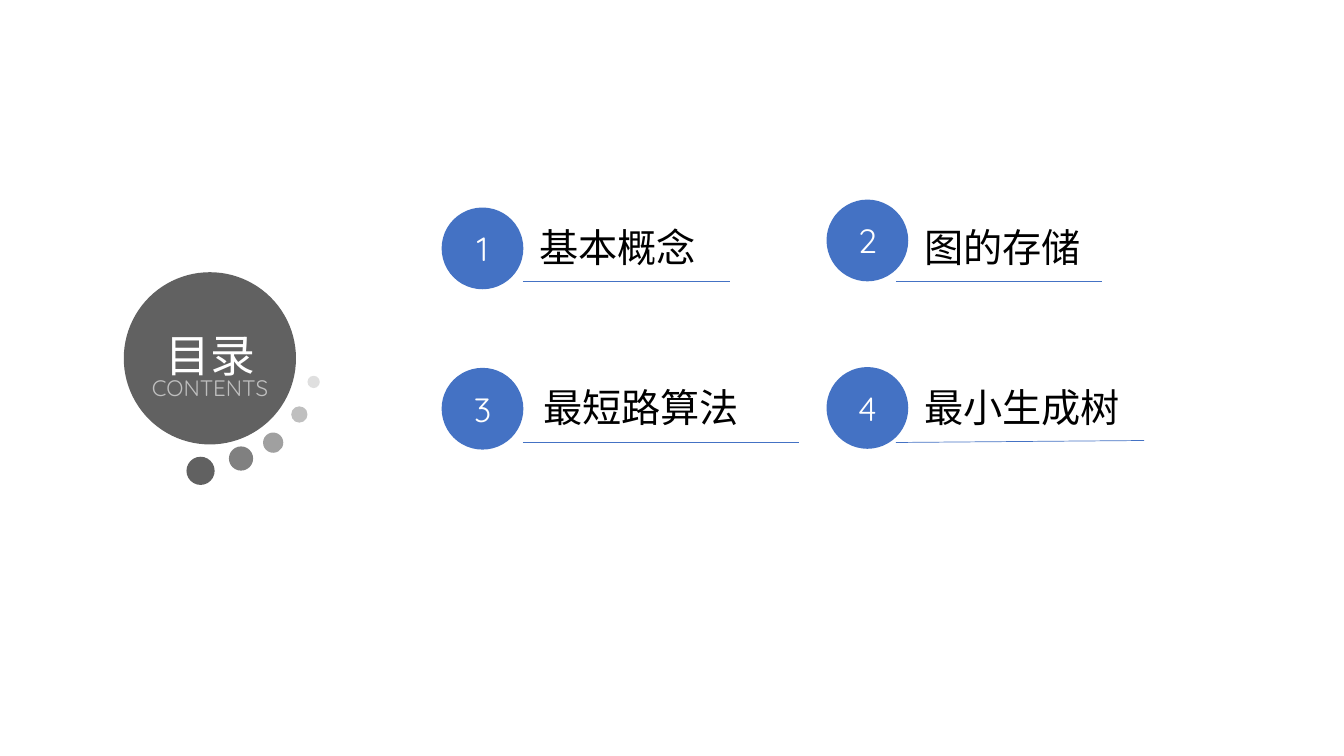
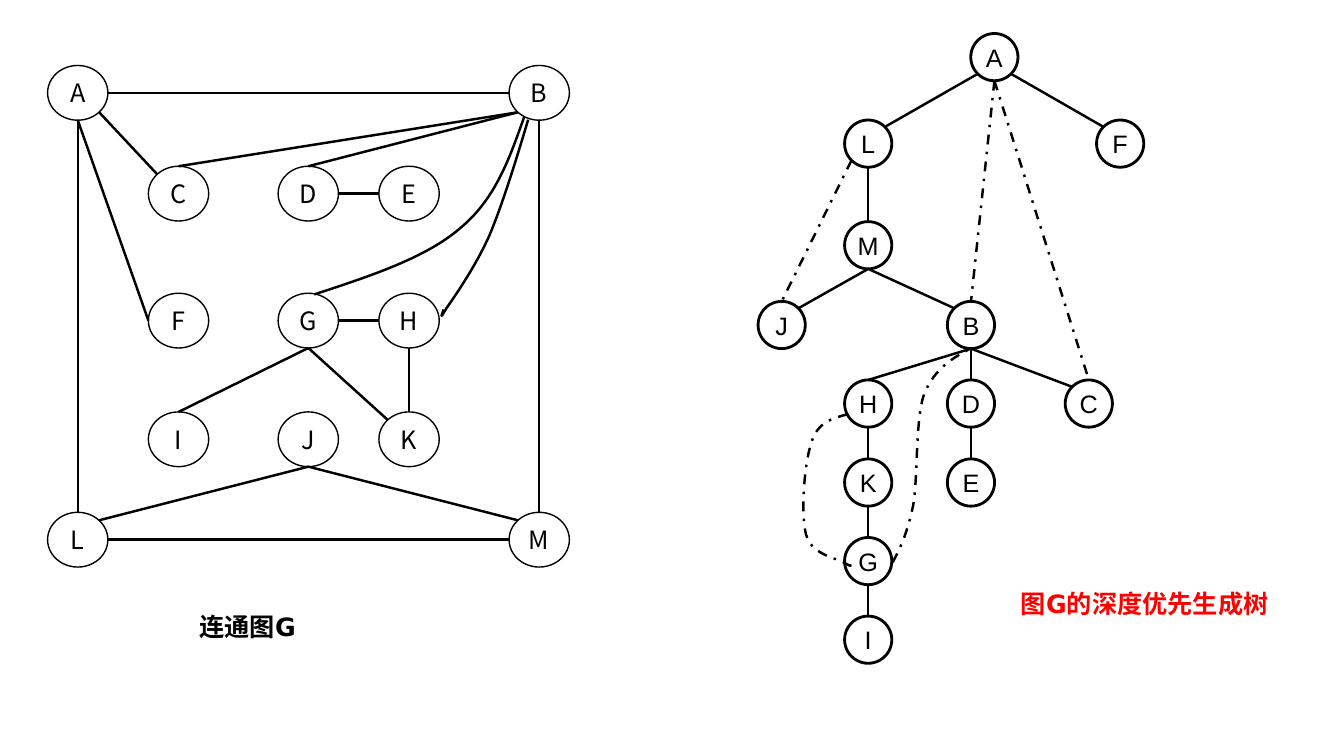
from lxml import etree
from pptx import Presentation
from pptx.dml.color import RGBColor
from pptx.enum.dml import MSO_LINE
from pptx.enum.shapes import MSO_CONNECTOR, MSO_SHAPE
from pptx.enum.text import MSO_ANCHOR, MSO_AUTO_SIZE, PP_ALIGN
from pptx.oxml.ns import qn
from pptx.util import Cm, Pt

ELLIPSE = MSO_SHAPE.OVAL
STRAIGHT = MSO_CONNECTOR.STRAIGHT
DASH_DOT = MSO_LINE.DASH_DOT
LEFT, CENTER = PP_ALIGN.LEFT, PP_ALIGN.CENTER
TOP, MIDDLE = MSO_ANCHOR.TOP, MSO_ANCHOR.MIDDLE
FIT_SHAPE = MSO_AUTO_SIZE.SHAPE_TO_FIT_TEXT
TITLE_ONLY, BLANK = 5, 6

# Shared style
BLACK, WHITE, RED = "000000", "FFFFFF", "FF0000"
GREY, PALE_GREY, BLUE = "616161", "BFBFBF", "4472C4"
CHINESE, DISPLAY, SANS, CAPTION = "Noto Sans CJK SC", "Quicksand", "Arial", "DejaVu Sans"
EDGE_WIDTH = 1.75

# Connection sites of an ellipse: index and direction from the centre
DIAGONAL = 0.71
SITES = {
    "top": (0, 0, -1), "top left": (1, -DIAGONAL, -DIAGONAL),
    "left": (2, -1, 0), "bottom left": (3, -DIAGONAL, DIAGONAL),
    "bottom": (4, 0, 1), "bottom right": (5, DIAGONAL, DIAGONAL),
    "right": (6, 1, 0), "top right": (7, DIAGONAL, -DIAGONAL),
}


def color(value):
    return RGBColor.from_string(value)


class Deck:
    def __init__(self):
        self.presentation = Presentation()
        self.presentation.slide_width = Cm(33.87)
        self.presentation.slide_height = Cm(19.05)
        self.slide = None

    def new_slide(self, layout):
        layouts = self.presentation.slide_layouts
        self.slide = self.presentation.slides.add_slide(layouts[layout])

    def add_run(self, shape, text, size, font, text_color, align=LEFT, anchor=TOP, bold=False):
        frame = shape.text_frame
        frame.vertical_anchor = anchor
        paragraph = frame.paragraphs[0]
        paragraph.alignment = align
        run = paragraph.add_run()
        run.text = text
        run.font.size = Pt(size)
        run.font.bold = bold
        run.font.color.rgb = color(text_color)
        run.font.name = font
        etree.SubElement(run._r.get_or_add_rPr(), qn("a:ea"), typeface=CHINESE)

    def text(self, box, text, size, font, text_color, align=LEFT, bold=False):
        shape = self.slide.shapes.add_textbox(*map(Cm, box))
        shape.text_frame.word_wrap = True
        shape.text_frame.auto_size = FIT_SHAPE
        self.add_run(shape, text, size, font, text_color, align, bold=bold)

    def title(self, box, text, size, font, text_color):
        shape = self.slide.shapes.title
        shape.left, shape.top, shape.width, shape.height = map(Cm, box)
        shape.text_frame.auto_size = FIT_SHAPE
        self.add_run(shape, text, size, font, text_color, CENTER)
        # Bring the title in front of the shapes drawn so far
        shape.element.getparent().append(shape.element)

    def ellipse(self, box, fill, line_width=None, opacity=100):
        shape = self.slide.shapes.add_shape(ELLIPSE, *map(Cm, box))
        shape.shadow.inherit = False
        shape.fill.solid()
        shape.fill.fore_color.rgb = color(fill)
        if opacity < 100:
            fill_color = shape.element.spPr.find(".//" + qn("a:srgbClr"))
            etree.SubElement(fill_color, qn("a:alpha"), val=str(opacity * 1000))
        if line_width:
            self.stroke(shape, BLACK, line_width)
        else:
            shape.line.fill.background()
        frame = shape.text_frame
        frame.margin_left = frame.margin_right = frame.margin_top = frame.margin_bottom = 0
        return shape

    def stroke(self, shape, line_color, width, dash=None):
        shape.line.color.rgb = color(line_color)
        shape.line.width = Pt(width)
        if dash:
            shape.line.dash_style = dash

    def line(self, start, end, line_color, width, dash=None):
        connector = self.slide.shapes.add_connector(STRAIGHT, *map(Cm, start + end))
        self.stroke(connector, line_color, width, dash)
        etree.SubElement(connector.element.spPr, qn("a:effectLst"))
        return connector

    def nodes(self, centers, size, font, line_width):
        width, height = size
        shapes = {}
        for name, (x, y) in centers.items():
            box = (x - width / 2, y - height / 2, width, height)
            shapes[name] = self.ellipse(box, WHITE, line_width)
            self.add_run(shapes[name], name, 18, font, BLACK, CENTER, MIDDLE)
        return shapes

    def edge(self, nodes, start, start_site, end, end_site, dash=None):
        points, joints = [], []
        for name, site in ((start, start_site), (end, end_site)):
            shape = nodes[name]
            index, across, down = SITES[site]
            points.append(((shape.left + shape.width * (1 + across) / 2) / Cm(1),
                           (shape.top + shape.height * (1 + down) / 2) / Cm(1)))
            joints.append((shape.shape_id, index))
        connector = self.line(*points, BLACK, EDGE_WIDTH, dash)
        # Glue both ends to the ellipse sites
        properties = connector.element.find(".//" + qn("p:cNvCxnSpPr"))
        for tag, (shape_id, index) in zip(("a:stCxn", "a:endCxn"), joints):
            etree.SubElement(properties, qn(tag), id=str(shape_id), idx=str(index))

    def curve(self, points, dash=None):
        start, *rest = [(Cm(x), Cm(y)) for x, y in points]
        builder = self.slide.shapes.build_freeform(*start)
        builder.add_line_segments(rest, close=False)
        shape = builder.convert_to_shape()
        shape.shadow.inherit = False
        shape.fill.background()
        self.stroke(shape, BLACK, EDGE_WIDTH, dash)
        # Every three points become one cubic segment
        outline = shape.element.find(".//" + qn("a:path"))
        segments = outline.findall(qn("a:lnTo"))
        for first in range(0, len(segments), 3):
            cubic = etree.SubElement(outline, qn("a:cubicBezTo"))
            for segment in segments[first:first + 3]:
                cubic.append(segment[0])
                outline.remove(segment)


def contents_slide(deck):
    deck.new_slide(TITLE_ONLY)

    # Contents badge with fading dots
    deck.ellipse((3.12, 6.86, 4.34, 4.34), GREY)
    deck.title((3.43, 8.13, 3.76, 1.63), "目录", 32, CHINESE, WHITE)
    deck.text((2.54, 9.3, 5.51, 0.94), "CONTENTS", 16, DISPLAY, PALE_GREY, CENTER)
    dots = [(4.7, 11.51), (5.77, 11.25), (6.63, 10.9), (7.34, 10.24), (7.75, 9.47)]
    for step, (left, top) in enumerate(dots):
        size = 0.71 - 0.1 * step
        deck.ellipse((left, top, size, size), GREY, opacity=100 - 20 * step)

    # Numbered chapters: circle, text box, underline
    chapters = [
        ("基本概念", (11.13, 5.23), (13.34, 5.49, 5.03), (13.18, 7.09), (18.39, 7.09)),
        ("图的存储", (20.83, 5.03), (23.04, 5.49, 5.03), (22.58, 7.09), (27.76, 7.09)),
        ("最短路算法", (11.13, 9.27), (13.44, 9.53, 7.87), (13.18, 11.15), (20.14, 11.15)),
        ("最小生成树", (20.83, 9.25), (23.04, 9.53, 7.65), (22.58, 11.15), (28.83, 11.1)),
    ]
    for number, (name, corner, place, start, end) in enumerate(chapters, 1):
        circle = deck.ellipse(corner + (2.06, 2.06), BLUE)
        deck.add_run(circle, str(number), 24, DISPLAY, WHITE, CENTER, MIDDLE)
        deck.text(place + (1.45,), name, 28, CHINESE, BLACK)
        deck.line(start, end, BLUE, 0.5)


def graph_slide(deck):
    deck.new_slide(BLANK)

    # Connected graph on a grid of columns and rows
    columns = (1.96, 4.5, 7.77, 10.31, 13.59)
    rows = (2.34, 4.88, 8.08, 11.07, 13.6)
    grid = ("A---B", "-CDE-", "-FGH-", "-IJK-", "L---M")
    centers = {name: (x, y) for y, names in zip(rows, grid)
               for x, name in zip(columns, names) if name != "-"}
    graph = deck.nodes(centers, (1.52, 1.38), CHINESE, 1)
    for edge in (
        ("A", "bottom", "L", "top"), ("B", "left", "A", "right"),
        ("M", "top", "B", "bottom"), ("M", "left", "L", "right"),
        ("A", "bottom right", "C", "top left"), ("A", "bottom", "F", "left"),
        ("C", "top", "B", "bottom left"), ("D", "right", "E", "left"),
        ("D", "top", "B", "bottom left"), ("L", "top right", "J", "bottom"),
        ("J", "bottom", "M", "top left"), ("I", "top", "G", "bottom"),
        ("G", "bottom", "K", "top left"), ("G", "right", "H", "left"),
        ("H", "bottom", "K", "top"),
    ):
        deck.edge(graph, *edge)
    deck.curve([(13.31, 3.02), (13, 4.06), (12.67, 5.13), (12.34, 5.92),
                (11.99, 6.71), (11.46, 7.47), (11.25, 7.77),
                (11.07, 8.08), (11.13, 7.95), (11.18, 7.8)])
    deck.curve([(13.21, 2.95), (12.85, 3.96), (12.5, 5), (11.61, 5.74),
                (10.74, 6.5), (9.32, 6.96), (7.92, 7.42)])

    # Depth-first spanning tree
    trunk, branch = 21.88, 24.47
    tree = deck.nodes({
        "A": (25.06, 1.44), "L": (trunk, 3.62), "F": (28.23, 3.62),
        "M": (trunk, 6.18), "J": (19.7, 8.19), "B": (branch, 8.19),
        "H": (trunk, 10.17), "D": (branch, 10.17), "C": (27.44, 10.17),
        "K": (trunk, 12.16), "E": (branch, 12.16),
        "G": (trunk, 14.14), "I": (trunk, 16.12),
    }, (1.19, 1.19), SANS, 2)
    for parent, child in ("LM", "BH", "HK", "KG", "GI", "BD", "DE"):
        deck.edge(tree, parent, "bottom", child, "top")
    for edge in (
        ("A", "bottom left", "L", "top right"), ("A", "bottom right", "F", "top left"),
        ("M", "bottom", "J", "top right"), ("M", "bottom", "B", "top left"),
        ("B", "bottom", "C", "top left"),
    ):
        deck.edge(tree, *edge)

    # Back edges
    for start, site, end in (("L", "bottom left", "J"), ("A", "bottom", "B"),
                             ("A", "bottom", "C")):
        deck.edge(tree, start, site, end, "top", DASH_DOT)
    deck.curve([(21.36, 10.44), (20.98, 10.54), (20.6, 10.64), (20.45, 11.15),
                (20.27, 11.66), (20.17, 12.98), (20.32, 13.49),
                (20.47, 14), (21.13, 14.07), (21.31, 14.2),
                (21.49, 14.3), (21.44, 14.25), (21.39, 14.2)], DASH_DOT)
    deck.curve([(22.5, 14.17), (22.68, 13.82), (22.86, 13.46), (23.01, 12.75),
                (23.14, 12.04), (23.06, 10.59), (23.29, 9.93),
                (23.55, 9.3), (23.98, 9.04), (24.41, 8.81)], DASH_DOT)

    # Captions
    deck.text((4.78, 15.29, 4.95, 1.02), "连通图G", 18, CAPTION, BLACK, bold=True)
    deck.text((25.48, 14.71, 7.62, 1.02), "图G的深度优先生成树", 18, CAPTION, RED, bold=True)


def main():
    deck = Deck()
    contents_slide(deck)
    graph_slide(deck)
    deck.presentation.save("out.pptx")


if __name__ == "__main__":
    main()
